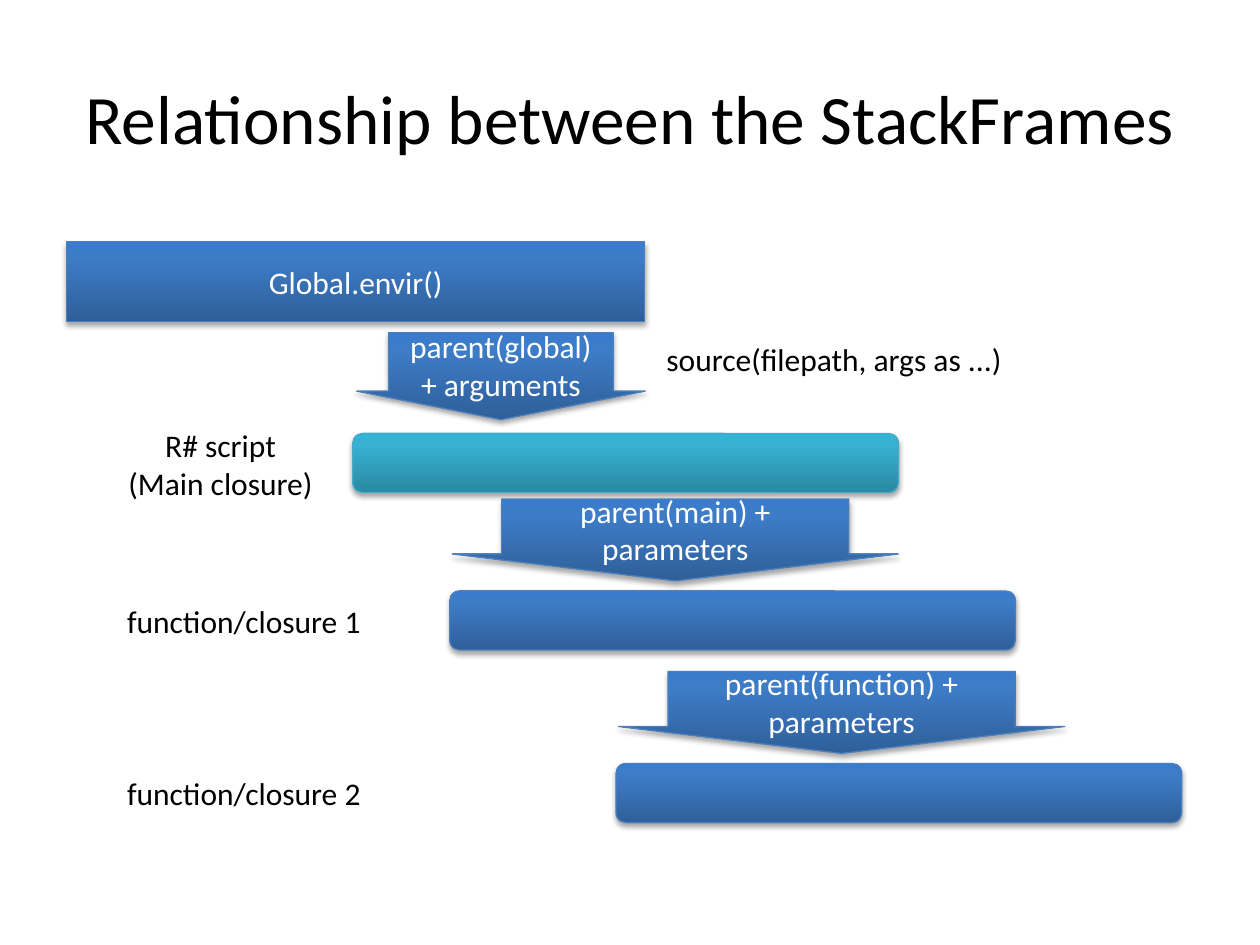
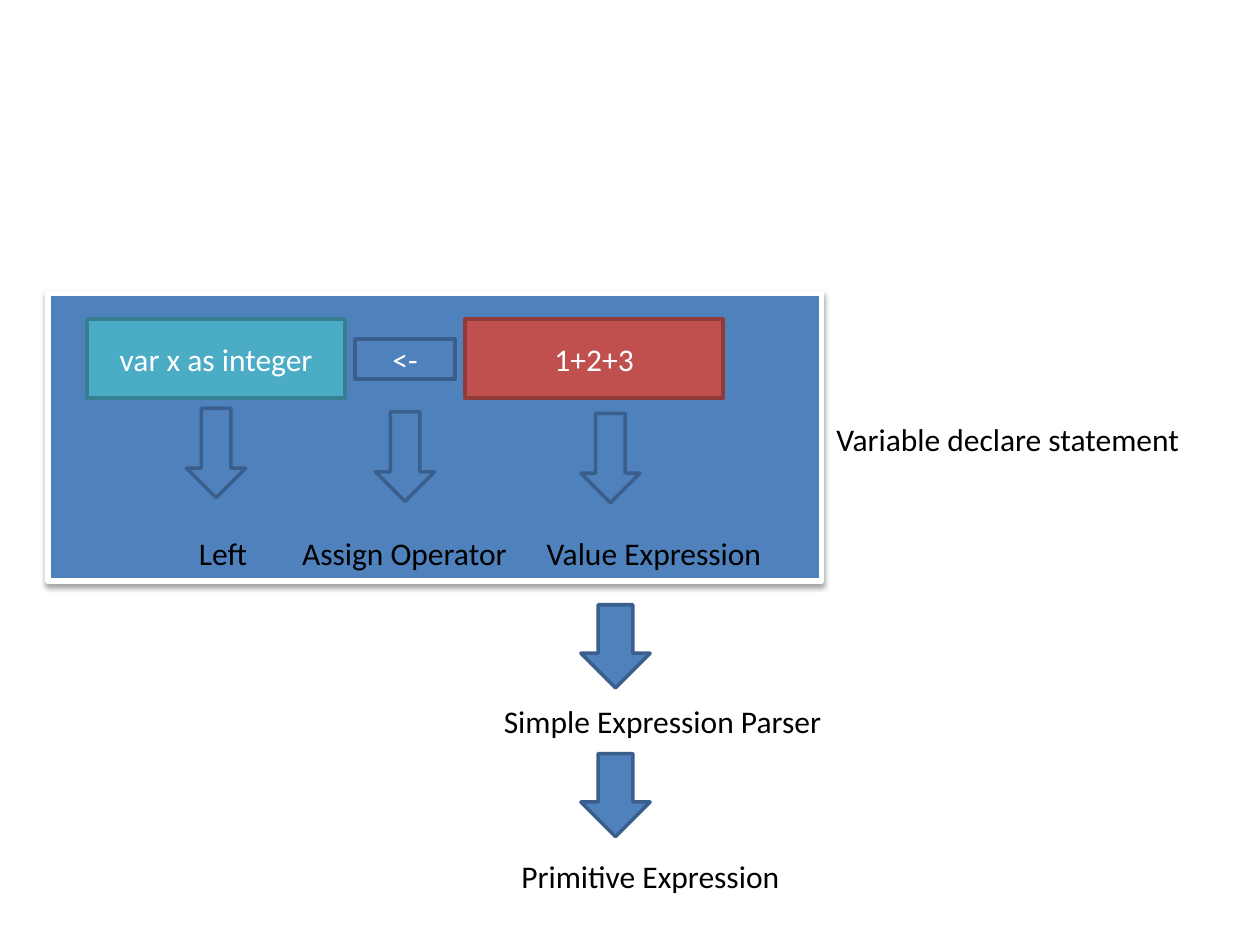
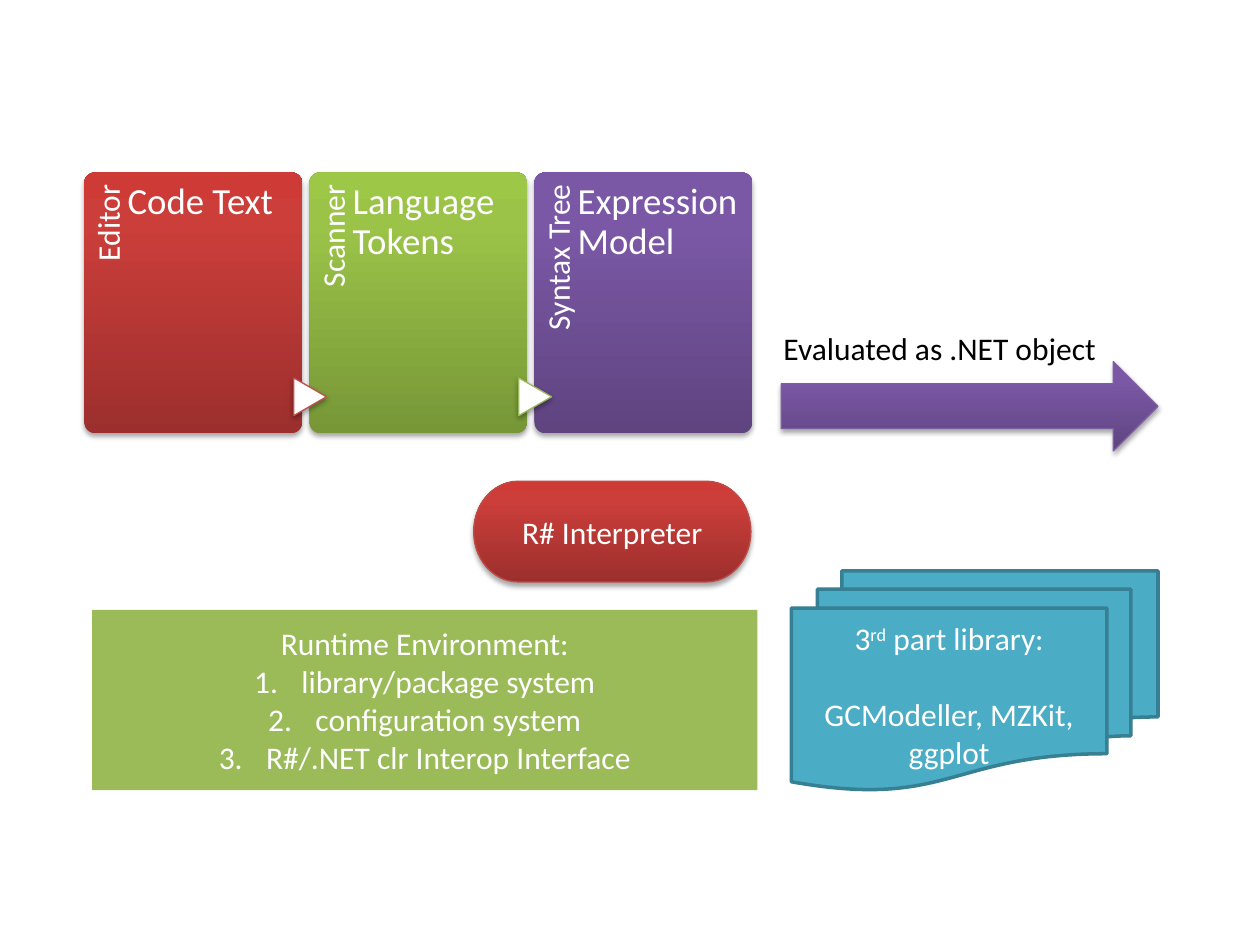
from dataclasses import dataclass
from pptx import Presentation
from pptx.dml.color import RGBColor
from pptx.enum.shapes import MSO_SHAPE as SHAPE
from pptx.enum.text import MSO_ANCHOR as ANCHOR, MSO_AUTO_SIZE as AUTO, PP_ALIGN as ALIGN
from pptx.oxml import parse_xml
from pptx.oxml.ns import nsdecls, qn
from pptx.util import Pt


@dataclass(frozen=True)
class Theme:
    """Colours, gradients and type sizes shared by the slides."""
    font: str = "Calibri"
    title: float = 39.6
    card: float = 21
    body: float = 18
    black: str = "000000"
    white: str = "FFFFFF"
    blue: str = "4F81BD"
    blue_edge: str = "3A5F8C"
    red: str = "C0504D"
    red_edge: str = "8E3B39"
    green: str = "9BBB59"
    teal: str = "4BACC6"
    teal_edge: str = "377F92"
    # Gradients run from the bottom edge to the top edge.
    blue_grad: tuple = ("2F5F99", "3D7CC7", "3A7CCB")
    teal_grad: tuple = ("2A88A2", "37B1D2", "34B4D6")
    red_grad: tuple = ("9C2F2D", "CB3E3A", "CE3B37")
    green_grad: tuple = ("779737", "9BC348", "9DC746")
    purple_grad: tuple = ("5F4480", "7B58A6", "7C57A8")
    blue_line: str = "4B7EBC"
    teal_line: str = "46AAC5"
    red_line: str = "BF4C48"
    purple_line: str = "7D60A0"


T = Theme()


def add_shape(s, kind, box, fill, line=None, width=0.75, text="", adj=(), shadow=False):
    """Add a preset shape with solid or gradient fill and white centred text."""
    sp = s.shapes.add_shape(kind, *map(Pt, box))
    for i, value in enumerate(adj):
        sp.adjustments[i] = value
    if isinstance(fill, tuple):
        sp.fill.gradient()
        sp.fill.gradient_angle = 90
        stops = sp._element.spPr.find(qn("a:gradFill")).find(qn("a:gsLst"))
        for stop in list(stops):
            stops.remove(stop)
        for pos, color in zip((0, 80000, 100000), fill):
            stops.append(parse_xml(f'<a:gs {nsdecls("a")} pos="{pos}"><a:srgbClr val="{color}"/></a:gs>'))
    else:
        sp.fill.solid()
        sp.fill.fore_color.rgb = RGBColor.from_string(fill)
    if line:
        sp.line.color.rgb = RGBColor.from_string(line)
        sp.line.width = Pt(width)
    else:
        sp.line.fill.background()
    sp.shadow.inherit = False
    if shadow:
        sp._element.spPr.find(qn("a:effectLst")).append(parse_xml(
            f'<a:outerShdw {nsdecls("a")} blurRad="{Pt(3.1)}" dist="{Pt(1.8)}" dir="5400000" rotWithShape="0">'
            f'<a:srgbClr val="{T.black}"><a:alpha val="35000"/></a:srgbClr></a:outerShdw>'))
    if text:
        write(sp.text_frame, text, T.white, align=ALIGN.CENTER)
    return sp


def write(tf, text, color=T.black, size=T.body, align=ALIGN.LEFT, spacing=None, **frame):
    """Write one paragraph per line; a caret pair marks superscript."""
    for name, value in frame.items():
        setattr(tf, name, value)
    for i, line in enumerate(text.split("\n")):
        p = tf.paragraphs[0] if i == 0 else tf.add_paragraph()
        p.alignment = align
        p.line_spacing = spacing
        for j, part in enumerate(line.split("^")):
            r = p.add_run()
            r.text = part
            for name, value in {"name": T.font, "size": Pt(size)}.items():
                setattr(r.font, name, value)
            r.font.color.rgb = RGBColor.from_string(color)
            if j % 2:
                r._r.get_or_add_rPr().set("baseline", "30000")


prs = Presentation()
prs.slide_width, prs.slide_height = Pt(720), Pt(540)
frames, statement, pipeline = [prs.slides.add_slide(prs.slide_layouts[6]) for _ in range(3)]
LABEL = {"word_wrap": False, "auto_size": AUTO.SHAPE_TO_FIT_TEXT}

# Slide 1: stack frames
s = frames
tb = s.shapes.add_textbox(*map(Pt, (36, 21.6, 648, 90)))
write(tb.text_frame, "Relationship between the StackFrames", size=T.title, align=ALIGN.CENTER,
      word_wrap=True, vertical_anchor=ANCHOR.MIDDLE)

BLUE = {"fill": T.blue_grad, "line": T.blue_line, "shadow": True}
CALL = {"adj": (0.778, 0.328), **BLUE}
add_shape(s, SHAPE.RECTANGLE, (38, 138.2, 330.5, 45.4), text="Global.envir()", **BLUE)
add_shape(s, SHAPE.ROUNDED_RECTANGLE, (201.6, 247.7, 311.8, 33.8), T.teal_grad, T.teal_line, shadow=True)
add_shape(s, SHAPE.DOWN_ARROW, (203.8, 190.1, 164.9, 49.7), text="parent(global) + arguments", **CALL)
labels = [
    ("R# script\n(Main closure)", (65.5, 239.8, 121, 51.1), ALIGN.CENTER),
    ("source(filepath, args as ...)", (373.7, 190.8, 208.1, 28.8), ALIGN.LEFT),
]
for i, parent in enumerate(("main", "function")):
    x, y = 257 + 95 * i, 337.7 + 98.6 * i
    add_shape(s, SHAPE.ROUNDED_RECTANGLE, (x, y, 323.3, 33.8), **BLUE)
    add_shape(s, SHAPE.DOWN_ARROW, (x + 1.5, y - 52.6, 254.9, 46.8),
              text=f"parent({parent}) + parameters", **CALL)
    labels.append((f"function/closure {i + 1}", (65.5, y + 2.5, 149.8, 28.8), ALIGN.LEFT))
for text, box, align in labels:
    tb = s.shapes.add_textbox(*map(Pt, box))
    write(tb.text_frame, text, align=align, **LABEL)

# Slide 2: variable declaration
s = statement
add_shape(s, SHAPE.RECTANGLE, (27.4, 167.8, 442.1, 164.2), T.blue, T.white, 3, shadow=True)
tokens = [
    ("var x as integer", (49.7, 182.2, 147.6, 45.4), T.teal, T.teal_edge),
    ("<-", (203, 193.7, 56.9, 23), T.blue, T.blue_edge),
    ("1+2+3", (265.7, 182.2, 147.6, 45.4), T.red, T.red_edge),
]
for text, box, fill, edge in tokens:
    add_shape(s, SHAPE.RECTANGLE, box, fill, edge, 2, text)
arrows = [
    (106.6, 233.3, 33.8, 51.1), (214.6, 235.4, 33.8, 51.1), (331.9, 236.2, 33.8, 51.1),
    (331.9, 345.6, 39.6, 47.5), (331.9, 430.6, 39.6, 47.5),
]
for box in arrows:
    add_shape(s, SHAPE.DOWN_ARROW, box, T.blue, T.blue_edge, 2)
labels = [
    ("Left", 106.6, 301.7, 42.5),
    ("Assign Operator", 165.6, 301.7, 132.5),
    ("Value Expression", 305.3, 301.7, 138.2),
    ("Variable declare statement", 470.9, 236.2, 212.4),
    ("Simple Expression Parser", 280.8, 397.4, 198),
    ("Primitive Expression", 290.9, 486, 163.4),
]
for text, x, y, w in labels:
    tb = s.shapes.add_textbox(*map(Pt, (x, y, w, 28.8)))
    write(tb.text_frame, text, **LABEL)

# Slide 3: interpreter pipeline
s = pipeline
runtime = add_shape(s, SHAPE.RECTANGLE, (52.6, 348.5, 380.2, 103), T.green,
                    text="Runtime Environment:\nlibrary/package system\nconfiguration system\n"
                         "R#/.NET clr Interop Interface")
for p in runtime.text_frame.paragraphs[1:]:
    pPr = p._p.get_or_add_pPr()
    pPr.set("marL", str(Pt(27)))
    pPr.set("indent", str(Pt(-27)))
    pPr.append(parse_xml(f'<a:buFont {nsdecls("a")} typeface="+mj-lt"/>'))
    pPr.append(parse_xml(f'<a:buAutoNum {nsdecls("a")} type="arabicPeriod"/>'))
library = add_shape(s, SHAPE.FLOWCHART_MULTIDOCUMENT, (452.2, 326.2, 209.5, 125.3), T.teal, T.teal_edge, 2,
                    "3^rd^ part library:\nGCModeller, MZKit, ggplot")
library.text_frame.paragraphs[1].space_before = Pt(22)

stages = [
    ("Editor", "Code Text", T.red_grad, None),
    ("Scanner", "Language Tokens", T.green_grad, T.red),
    ("Syntax Tree", "Expression Model", T.purple_grad, T.green),
]
for i, (stage, result, fill, link) in enumerate(stages):
    x, y, w, h = 48.2 + 128.6 * i, 98.6, 124.6, 149
    add_shape(s, SHAPE.ROUNDED_RECTANGLE, (x, y, w, h), fill, adj=(0.05,), shadow=True)
    if link:
        sp = add_shape(s, SHAPE.FLOWCHART_EXTRACT, (x - 10.4, 217.4, 21.6, 18.7), T.white, link, shadow=True)
        sp.rotation = 90
    tb = s.shapes.add_textbox(*map(Pt, (x - 48.9, 147.6, 122.4, 25.2)))
    tb.rotation = 270
    write(tb.text_frame, stage, T.white, align=ALIGN.RIGHT, spacing=0.9, word_wrap=True,
          margin_left=0, margin_top=Pt(5), margin_right=Pt(6.5), margin_bottom=0)
    tb = s.shapes.add_textbox(*map(Pt, (x + 24.7, y, 92.9, h)))
    write(tb.text_frame, result, T.white, T.card, spacing=0.9, word_wrap=True,
          margin_left=0, margin_top=Pt(5.8), margin_right=0, margin_bottom=0)

add_shape(s, SHAPE.FLOWCHART_TERMINATOR, (270.7, 275, 158.4, 57.6), T.red_grad, T.red_line,
          text="R# Interpreter", shadow=True)
add_shape(s, SHAPE.RIGHT_ARROW, (446.4, 206.6, 215.3, 51.1), T.purple_grad, T.purple_line, shadow=True)
tb = s.shapes.add_textbox(*map(Pt, (440.6, 184.3, 195.1, 28.8)))
write(tb.text_frame, "Evaluated as .NET object", **LABEL)

prs.save("out.pptx")
